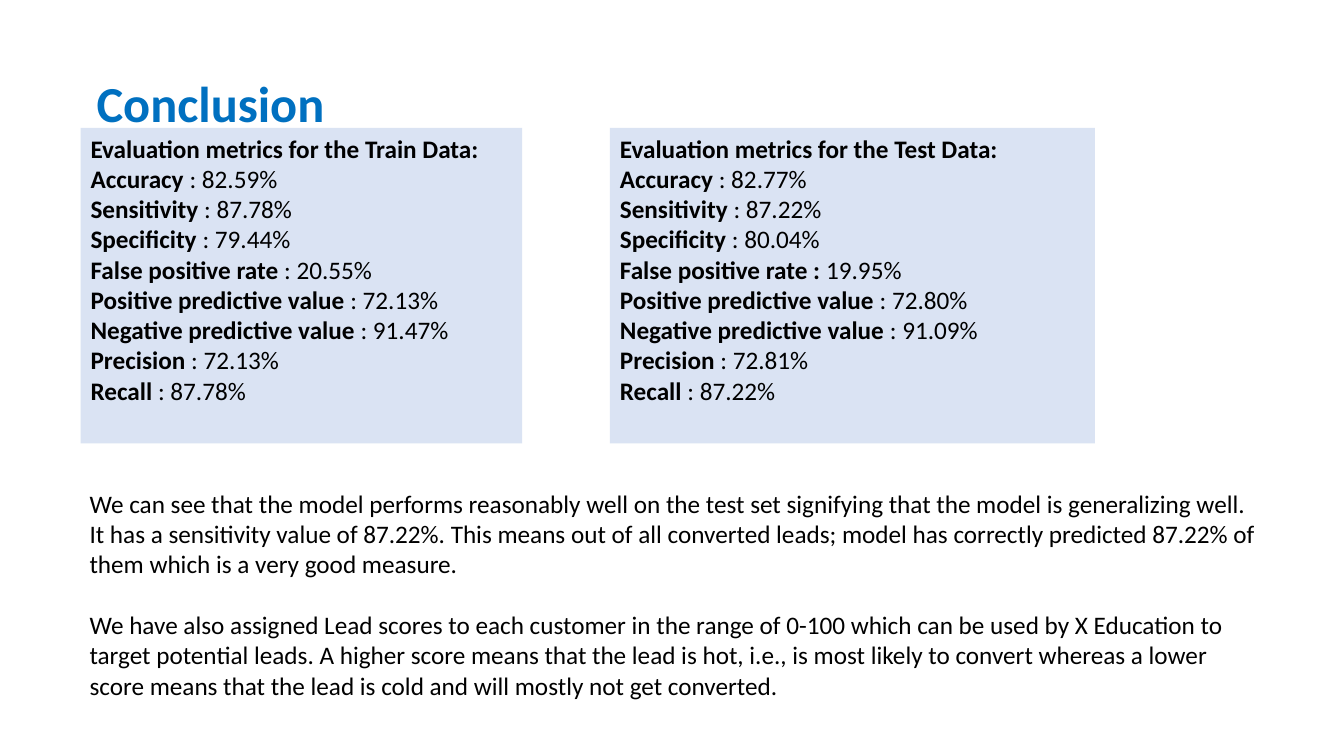
"""Build the conclusion slide with train and test evaluation metrics."""
from pptx import Presentation
from pptx.dml.color import RGBColor
from pptx.enum.shapes import MSO_SHAPE as Shape
from pptx.enum.text import MSO_ANCHOR as Anchor, PP_ALIGN as Align
from pptx.util import Emu, Pt

BLUE = RGBColor(0x00, 0x70, 0xC0)
PALE_BLUE = RGBColor(0xDA, 0xE3, 0xF3)
BLACK = RGBColor(0x00, 0x00, 0x00)

METRICS = ["Accuracy", "Sensitivity", "Specificity", "False positive rate",
           "Positive predictive value", "Negative predictive value",
           "Precision", "Recall"]
TRAIN = ["82.59%", "87.78%", "79.44%", "20.55%", "72.13%", "91.47%", "72.13%", "87.78%"]
TEST = ["82.77%", "87.22%", "80.04%", "19.95%", "72.80%", "91.09%", "72.81%", "87.22%"]

FINDINGS = [
    "We can see that the model performs reasonably well on the test set signifying "
    "that the model is generalizing well. It has a sensitivity value of 87.22%. This "
    "means out of all converted leads; model has correctly predicted 87.22% of them "
    "which is a very good measure.",
    "We have also assigned Lead scores to each customer in the range of 0-100 which "
    "can be used by X Education to target potential leads. A higher score means that "
    "the lead is hot, i.e., is most likely to convert whereas a lower score means that "
    "the lead is cold and will mostly not get converted.",
]


def px(*lengths):
    """Turn lengths at 100 px to the inch into EMU."""
    return [Emu(length * 9144) for length in lengths]


class SlideBuilder:
    """Hold the text style and the current slide."""

    font_name = "Calibri"
    body_size = 18
    paragraph_gap = 22

    def __init__(self, slide):
        self.slide = slide

    def style(self, paragraph, size=body_size, color=BLACK, bold=None):
        """Set the font of a whole paragraph."""
        paragraph.alignment = Align.LEFT
        font = paragraph.font
        font.name, font.size, font.bold = self.font_name, Pt(size), bold
        font.color.rgb = color

    def text(self, box, paragraphs, **style):
        """Add a wrapped text box with spaced paragraphs."""
        frame = self.slide.shapes.add_textbox(*px(*box)).text_frame
        frame.word_wrap = True
        for index, content in enumerate(paragraphs):
            paragraph = frame.add_paragraph() if index else frame.paragraphs[0]
            paragraph.text = content
            paragraph.space_before = Pt(self.paragraph_gap if index else 0)
            self.style(paragraph, **style)

    def panel(self, box, heading, values, bold_colon=None):
        """Add a filled panel listing each metric with its value."""
        shape = self.slide.shapes.add_shape(Shape.RECTANGLE, *px(*box))
        shape.shadow.inherit = False
        shape.fill.solid()
        shape.fill.fore_color.rgb = PALE_BLUE
        shape.line.fill.background()
        frame = shape.text_frame
        frame.word_wrap = True
        frame.vertical_anchor = Anchor.TOP
        frame.text = heading
        self.style(frame.paragraphs[0], bold=True)
        for metric, value in zip(METRICS, values):
            paragraph = frame.add_paragraph()
            self.style(paragraph)
            label, rest = f"{metric} ", f": {value}"
            if metric == bold_colon:
                label, rest = f"{metric} : ", value
            for content, bold in ((label, True), (rest, False)):
                run = paragraph.add_run()
                run.text = content
                run.font.bold = bold


def main():
    """Build and save the presentation."""
    presentation = Presentation()
    presentation.slide_width, presentation.slide_height = px(1333, 750)
    blank = presentation.slide_layouts[6]
    builder = SlideBuilder(presentation.slides.add_slide(blank))
    builder.text((86, 67, 300, 71), ["Conclusion"], size=36, color=BLUE, bold=True)
    builder.panel((80, 127, 438, 313), "Evaluation metrics for the Train Data:", TRAIN)
    builder.panel((605, 127, 481, 313), "Evaluation metrics for the Test Data:", TEST,
                  bold_colon="False positive rate")
    builder.text((79, 479, 1184, 222), FINDINGS)
    presentation.save("out.pptx")


if __name__ == "__main__":
    main()
